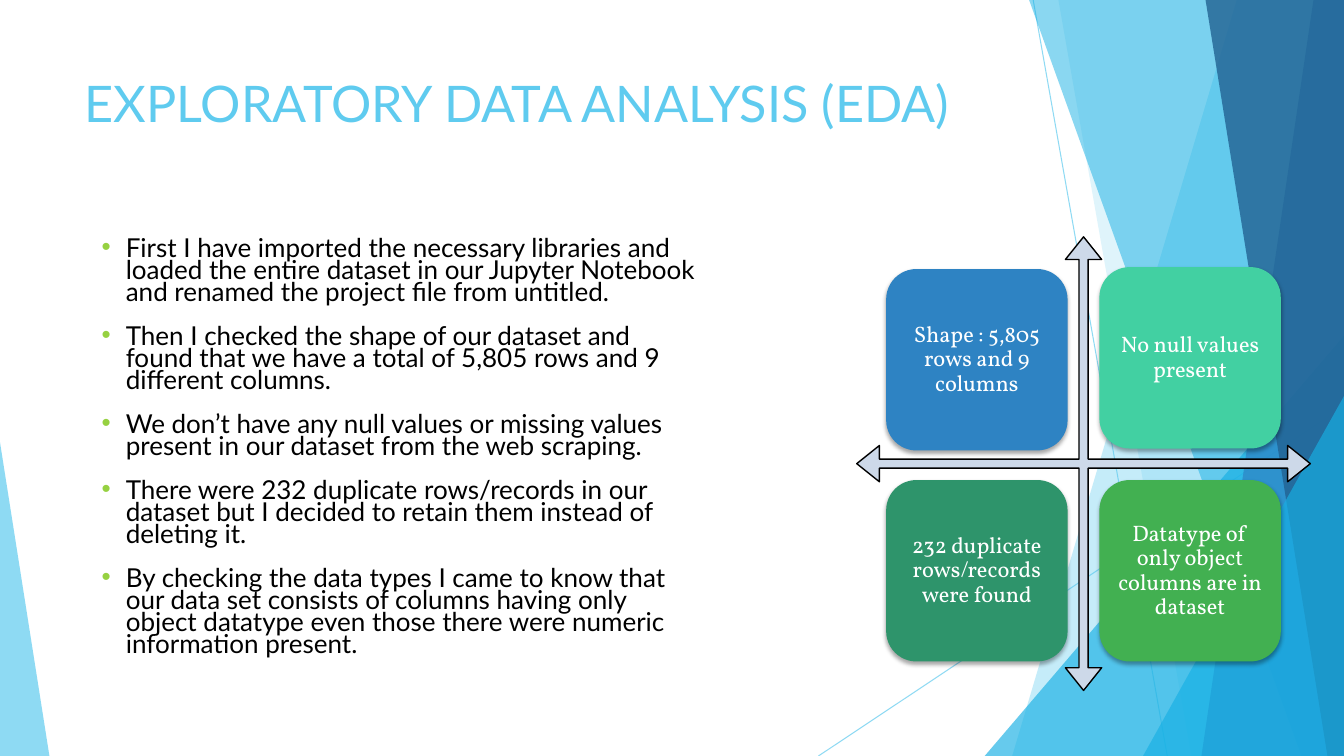
from lxml.etree import SubElement
from pptx import Presentation
from pptx.dml.color import RGBColor
from pptx.enum.shapes import MSO_CONNECTOR, MSO_SHAPE
from pptx.enum.text import MSO_ANCHOR, PP_ALIGN
from pptx.oxml.ns import qn
from pptx.util import Pt

COLOURS = {
    "sky": "5FCBEF", "cyan": "17B0E4", "blue": "2E83C3", "navy": "226292",
    "mint": "42D0A2", "teal": "2E946B", "green": "42B051", "lime": "96D141",
    "mist": "CDD9E9", "black": "000000", "white": "FFFFFF",
}
WIDTH, HEIGHT = 960, 540
TITLE = "EXPLORATORY DATA ANALYSIS (EDA)"
FINDINGS = [
    "First I have imported the necessary libraries and loaded the entire dataset in our "
    "Jupyter Notebook and renamed the project file from untitled.",
    "Then I checked the shape of our dataset and found that we have a total of 5,805 rows "
    "and 9 different columns.",
    "We don’t have any null values or missing values present in our dataset from the web scraping.",
    "There were 232 duplicate rows/records in our dataset but I decided to retain them "
    "instead of deleting it.",
    "By checking the data types I came to know that our data set consists of columns having "
    "only object datatype even those there were numeric information present.",
]
TILES = [
    ("Shape : 5,805 rows and 9 columns", "blue", 1.4),
    ("No null values present", "mint", 0),
    ("232 duplicate rows/records were found", "teal", 0),
    ("Datatype of only object columns are in dataset", "green", 0),
]
TILE_LEFT, TILE_TOP, TILE_SIZE = 633, 190.8, 129.6
COLUMN_PITCH, ROW_PITCH = 152.3, 152.1
CROSS = (612, 169.2, 324, 324)
CROSS_ADJUSTMENTS = (0.02, 0.04, 0.05)
RAYS = [(738, 0, 833.8, 540), (960, 290.2, 584.6, 540)]
BACKDROP = [
    ("band", (883.4, 723), "sky", 36),
    ("band", (756, 851), "sky", 20),
    ("triangle", (703.4, 239.8, 256.6, 300.2, 1), "cyan", 66),
    ("band", (735.1, 929.5), "cyan", 50),
    ("band", (938.2, 858.2), "blue", 70),
    ("band", (861.1, 948.2), "navy", 80),
    ("triangle", (816.5, 283, 143.5, 257, 1), "cyan", 66),
    ("triangle", (0, 316, 35.3, 224, 0), "sky", 70),
]


def colour(name):
    return RGBColor.from_string(COLOURS[name])


def set_alpha(properties, percent):
    tint = next(properties.iter(qn("a:srgbClr")))
    SubElement(tint, qn("a:alpha"), val=str(percent * 1000))


def paint(shape, fill, alpha=100):
    shape.shadow.inherit = False
    shape.fill.solid()
    shape.fill.fore_color.rgb = colour(fill)
    shape.line.fill.background()
    if alpha < 100:
        set_alpha(shape.fill._xPr, alpha)


def add_ray(page, ends):
    ray = page.shapes.add_connector(MSO_CONNECTOR.STRAIGHT, *map(Pt, ends))
    ray.line.color.rgb = colour("sky")
    ray.line.width = Pt(0.75)
    properties = ray._element.spPr
    set_alpha(properties, 70)
    SubElement(properties, qn("a:effectLst"))


def add_backdrop(page, kind, geometry, fill, alpha):
    if kind == "band":
        top_x, bottom_x = geometry
        corners = [(WIDTH, 0), (WIDTH, HEIGHT), (bottom_x, HEIGHT)]
        builder = page.shapes.build_freeform(Pt(top_x), 0, scale=1.0)
        builder.add_line_segments([(Pt(x), Pt(y)) for x, y in corners], close=True)
        shape = builder.convert_to_shape()
    else:
        *place, apex = geometry
        shape = page.shapes.add_shape(MSO_SHAPE.ISOSCELES_TRIANGLE, *map(Pt, place))
        shape.adjustments[0] = apex
    paint(shape, fill, alpha)


def add_bullet(para):
    properties = para._p.get_or_add_pPr()
    properties.set("marL", str(Pt(17.3)))
    properties.set("indent", str(Pt(-18)))
    tint = SubElement(properties, qn("a:buClr"))
    SubElement(tint, qn("a:srgbClr"), val=COLOURS["lime"])
    SubElement(properties, qn("a:buFont"), typeface="Arial")
    SubElement(properties, qn("a:buChar"), char="•")


def write(box, lines, *, size, font, ink, align=PP_ALIGN.LEFT, anchor=MSO_ANCHOR.TOP,
          spacing=1.0, before=0, inset=None, bullets=False):
    frame = box.text_frame
    frame.word_wrap = True
    frame.vertical_anchor = anchor
    if inset is not None:
        frame.margin_left = frame.margin_right = Pt(inset)
        frame.margin_top = frame.margin_bottom = Pt(inset)
    for index, line in enumerate(lines):
        para = frame.add_paragraph() if index else frame.paragraphs[0]
        para.alignment = align
        para.line_spacing = spacing
        para.space_before = Pt(before)
        if bullets:
            add_bullet(para)
        span = para.add_run()
        span.text = line
        span.font.size = Pt(size)
        span.font.name = font
        span.font.color.rgb = colour(ink)


def add_text(page, place, lines, **style):
    write(page.shapes.add_textbox(*map(Pt, place)), lines, font="Lato", **style)


def add_cross(page):
    cross = page.shapes.add_shape(MSO_SHAPE.QUAD_ARROW, *map(Pt, CROSS))
    for index, value in enumerate(CROSS_ADJUSTMENTS):
        cross.adjustments[index] = value
    paint(cross, "mist")
    cross.line.color.rgb = colour("black")
    cross.line.width = Pt(1)


def add_tile(page, index, text, fill, nudge):
    row, column = divmod(index, 2)
    place = (TILE_LEFT + column * COLUMN_PITCH, TILE_TOP + row * ROW_PITCH + nudge,
             TILE_SIZE, TILE_SIZE)
    tile = page.shapes.add_shape(MSO_SHAPE.ROUNDED_RECTANGLE, *map(Pt, place))
    paint(tile, fill)
    effects = tile._element.spPr.find(qn("a:effectLst"))
    shadow = SubElement(effects, qn("a:outerShdw"), blurRad=str(Pt(3)), dist=str(Pt(2)),
                        dir="5400000", rotWithShape="0")
    tint = SubElement(shadow, qn("a:srgbClr"), val=COLOURS["black"])
    SubElement(tint, qn("a:alpha"), val="35000")
    write(tile, [text], size=16, font="Vollkorn", ink="white", align=PP_ALIGN.CENTER,
          anchor=MSO_ANCHOR.MIDDLE, spacing=0.9, inset=5)


def main():
    """Build the exploratory data analysis slide."""
    deck = Presentation()
    deck.slide_width, deck.slide_height = Pt(WIDTH), Pt(HEIGHT)
    page = deck.slides.add_slide(deck.slide_layouts[6])
    for ends in RAYS:
        add_ray(page, ends)
    for part in BACKDROP:
        add_backdrop(page, *part)
    add_text(page, (53.3, 48.2, 676.8, 103.7), [TITLE], size=36, ink="sky")
    add_cross(page)
    for index, tile in enumerate(TILES):
        add_tile(page, index, *tile)
    add_text(page, (65.5, 167.8, 439.2, 326.9), FINDINGS, size=18.6, ink="black",
             spacing=0.7, before=16, bullets=True)
    deck.save("out.pptx")


if __name__ == "__main__":
    main()
